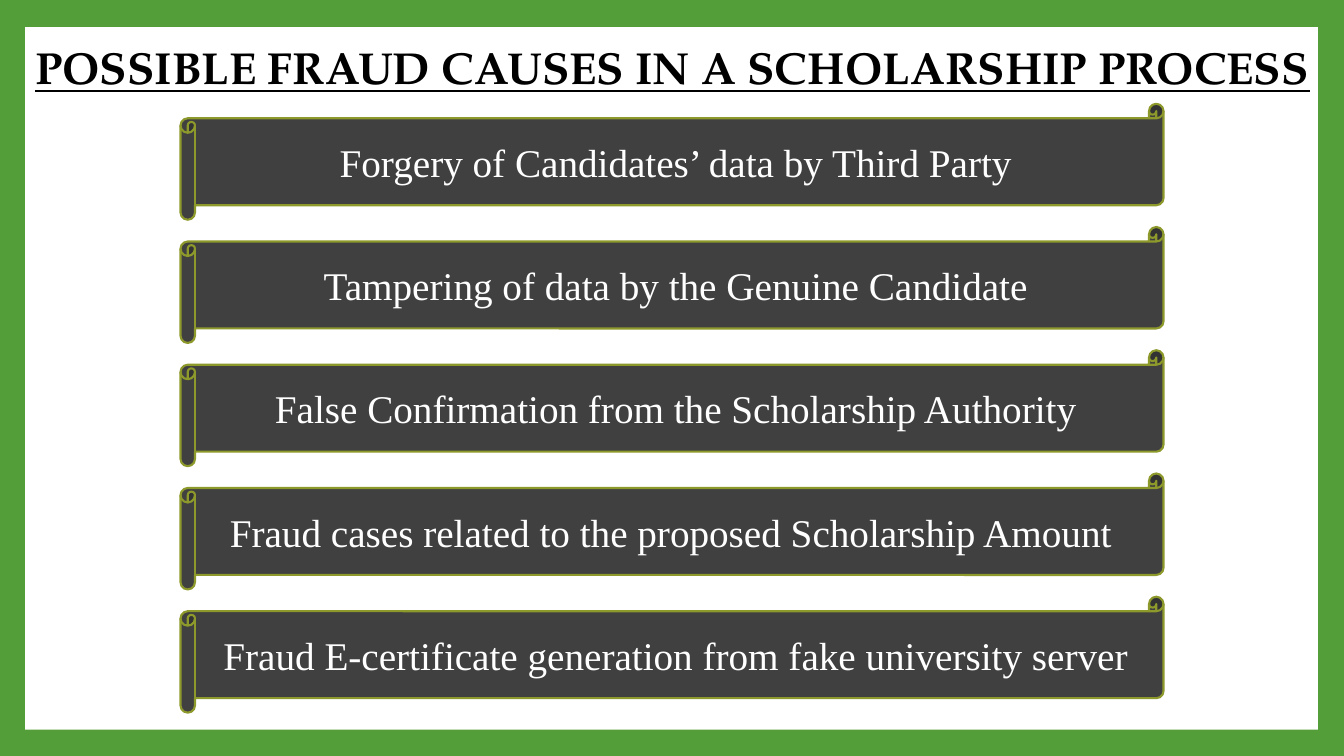
from pptx import Presentation
from pptx.dml.color import RGBColor
from pptx.enum.shapes import MSO_SHAPE as Shape
from pptx.enum.text import MSO_ANCHOR as Anchor, MSO_AUTO_SIZE as Fit, PP_ALIGN as Align
from pptx.util import Inches, Pt

GREEN = RGBColor(0x54, 0x9E, 0x39)
OLIVE = RGBColor(0x8E, 0x99, 0x2B)
DARK = RGBColor(0x40, 0x40, 0x40)
WHITE = RGBColor(0xFF, 0xFF, 0xFF)
BLACK = RGBColor(0, 0, 0)

CAUSES = [
    "Forgery of Candidates’ data by Third Party",
    "Tampering of data by the Genuine Candidate",
    "False Confirmation from the Scholarship Authority",
    "Fraud cases related to the proposed Scholarship Amount ",
    "Fraud E-certificate generation from fake university server",
]
TOP, LAST = 1.03, 5.92
STEP = (LAST - TOP) / (len(CAUSES) - 1)


class Deck:
    head_font = "TeX Gyre Pagella"
    body_font = "Times New Roman"

    def __init__(self):
        self.prs = Presentation()
        self.prs.slide_width = Inches(13.33)
        self.prs.slide_height = Inches(7.5)
        self.slide = self.prs.slides.add_slide(self.prs.slide_layouts[5])
        fill = self.slide.background.fill
        fill.solid()
        fill.fore_color.rgb = GREEN

    def label(self, shape, text, font, size, color):
        frame = shape.text_frame
        frame.text = text
        frame.word_wrap = True
        frame.auto_size = Fit.NONE
        frame.vertical_anchor = Anchor.MIDDLE
        para = frame.paragraphs[0]
        para.alignment = Align.CENTER
        style = para.runs[0].font
        style.name, style.size = font, Pt(size)
        style.color.rgb = color
        return para

    def title(self, text, x, y, w, h):
        shape = self.slide.shapes.title
        shape.left, shape.top = Inches(x), Inches(y)
        shape.width, shape.height = Inches(w), Inches(h)
        para = self.label(shape, text, self.head_font, 32, BLACK)
        para.line_spacing = 0.9
        para.runs[0].font.bold = True
        para.runs[0].font.underline = True

    def block(self, kind, x, y, w, h, color):
        shape = self.slide.shapes.add_shape(
            kind, Inches(x), Inches(y), Inches(w), Inches(h))
        shape.shadow.inherit = False
        shape.fill.solid()
        shape.fill.fore_color.rgb = color
        return shape

    def panel(self, x, y, w, h):
        shape = self.block(Shape.RECTANGLE, x, y, w, h, WHITE)
        shape.line.fill.background()
        # Keep the panel behind the title
        self.slide.shapes.title.element.addprevious(shape.element)

    def scroll(self, text, x, y, w, h):
        shape = self.block(Shape.HORIZONTAL_SCROLL, x, y, w, h, DARK)
        shape.line.color.rgb = OLIVE
        shape.line.width = Pt(1.5)
        self.label(shape, text, self.body_font, 28, WHITE)


def main():
    deck = Deck()

    # Frame and heading
    deck.panel(0.25, 0.27, 12.82, 6.97)
    deck.title("POSSIBLE FRAUD CAUSES IN A SCHOLARSHIP PROCESS",
               -0.46, 0.2, 14.26, 0.99)

    # One scroll for each cause
    for i, cause in enumerate(CAUSES):
        deck.scroll(cause, 1.79, TOP + i * STEP, 9.75, 1.15)

    deck.prs.save("out.pptx")


if __name__ == "__main__":
    main()
